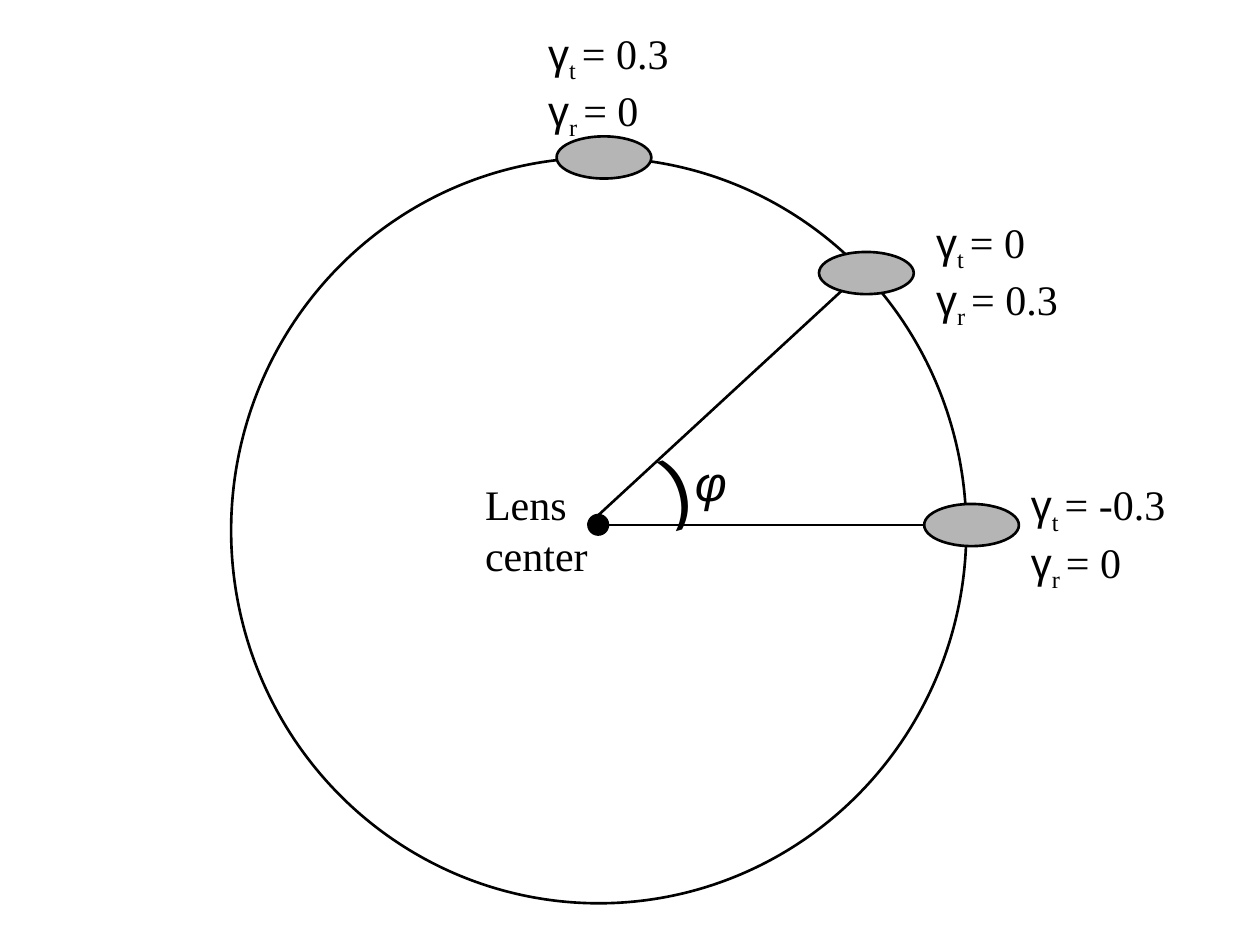
from pptx import Presentation
from pptx.dml.color import RGBColor
from pptx.enum.shapes import MSO_CONNECTOR, MSO_SHAPE
from pptx.enum.text import MSO_AUTO_SIZE
from pptx.oxml.ns import qn
from pptx.util import Cm, Pt
from lxml.etree import SubElement


def color(code):
    return RGBColor.from_string(code)


class Sketch:
    ink, grey = "000000", "B5B5B5"
    sans, serif = "Arial", "Times New Roman"

    def __init__(self, slide):
        self.slide = slide

    def oval(self, left, top, width, height, fill=None, weight=1.5):
        shape = self.slide.shapes.add_shape(
            MSO_SHAPE.OVAL, Cm(left), Cm(top), Cm(width), Cm(height))
        shape.shadow.inherit = False
        if fill:
            shape.fill.solid()
            shape.fill.fore_color.rgb = color(fill)
        else:
            shape.fill.background()
        shape.line.color.rgb = color(self.ink)
        shape.line.width = Pt(weight)
        return shape

    def line(self, x1, y1, x2, y2):
        line = self.slide.shapes.add_connector(
            MSO_CONNECTOR.STRAIGHT, Cm(x1), Cm(y1), Cm(x2), Cm(y2))
        line.line.color.rgb = color(self.ink)
        line.line.width = Pt(1.5)
        SubElement(line._element.spPr, qn("a:effectLst"))

    def text(self, left, top, width, height, rows, size=24, wrap=False):
        """Each row is a list of runs: (text, font, baseline percent)."""
        box = self.slide.shapes.add_textbox(
            Cm(left), Cm(top), Cm(width), Cm(height))
        frame = box.text_frame
        frame.word_wrap = wrap
        frame.auto_size = MSO_AUTO_SIZE.SHAPE_TO_FIT_TEXT
        for i, row in enumerate(rows):
            para = frame.add_paragraph() if i else frame.paragraphs[0]
            for words, face, base in row:
                run = para.add_run()
                run.text = words
                run.font.name = face
                run.font.size = Pt(size)
                run.font.color.rgb = color(self.ink)
                if base:
                    run.font._element.set("baseline", str(base * 1000))
        return box

    def shear(self, left, top, width, **values):
        rows = [[("γ", self.sans, 0), (f"{sub} ", self.serif, -25),
                 (f"= {value}", self.serif, 0)]
                for sub, value in values.items()]
        self.text(left, top, width, 2.56, rows, wrap=True)


def main():
    deck = Presentation()
    deck.slide_width, deck.slide_height = Cm(25.4), Cm(19.05)
    art = Sketch(deck.slides.add_slide(deck.slide_layouts[6]))

    # Radii and ring around the lens
    art.shear(18.62, 4.23, 3.39, t="0", r="0.3")
    hub = (11.85, 10.58)
    art.line(*hub, 17.36, 5.5)
    art.line(*hub, 19.47, 10.58)
    art.oval(4.66, 3.18, 14.82, 15.03)

    # Angle arc
    arc = art.text(13.12, 8.68, 1.02, 2.13, [[(")", art.sans, 0)]], size=44)
    arc.rotation = 344.3

    # Shear values to the right and at the top
    art.shear(20.53, 9.53, 4.02, t="-0.3", r="0")
    art.shear(10.8, 0.42, 3.39, t="0.3", r="0")

    # Galaxies on the ring
    for left, top in ((18.63, 10.16), (11.22, 2.75), (16.51, 5.08)):
        art.oval(left, top, 1.91, 0.85, art.grey).rotation = 0.1

    # Angle name
    phi = art.text(13.76, 8.99, 1.02, 1.45, [[("φ", art.sans, 0)]], size=28)
    phi.text_frame.paragraphs[0].runs[0].font.italic = True

    # Lens center, with a label wide enough for its longer word
    art.oval(11.85, 10.37, 0.42, 0.42, art.ink, 0.75)
    art.text(9.53, 9.53, 2.7, 2.29,
             [[(word, art.serif, 0)] for word in ("Lens", "center")], wrap=True)

    deck.save("out.pptx")


if __name__ == "__main__":
    main()
